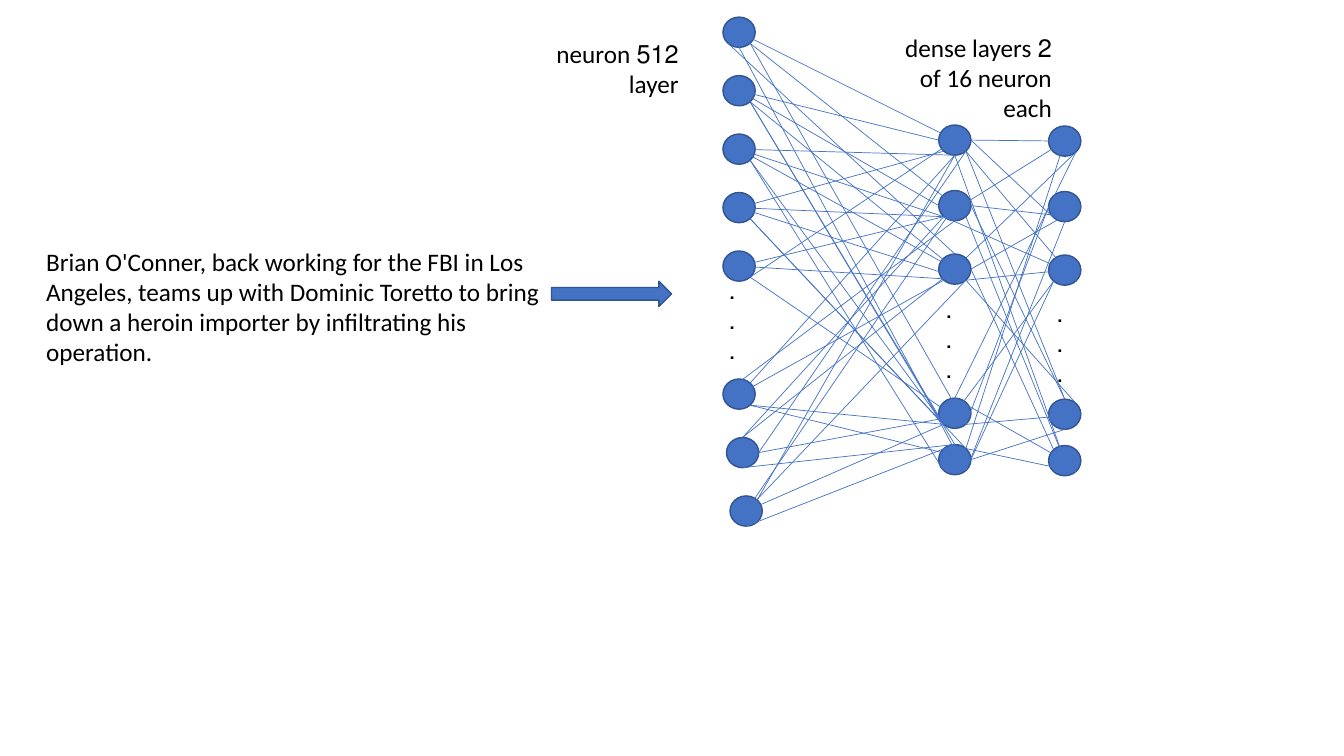
"""Neural network diagram: a text feeds a 512 neuron layer and two dense layers."""
from pptx import Presentation
from pptx.dml.color import RGBColor
from pptx.enum.shapes import MSO_CONNECTOR as CONN, MSO_SHAPE as SHAPE
from pptx.enum.text import MSO_AUTO_SIZE as AUTO, PP_ALIGN as ALIGN
from pptx.oxml.ns import qn
from pptx.util import Inches, Pt
from lxml.etree import SubElement

BLUE, EDGE, BLACK = "4472C4", "325491", "000000"
NODE_W, NODE_H = 0.32, 0.3

prs = Presentation()
prs.slide_width, prs.slide_height = Inches(13.33), Inches(7.5)
s = prs.slides.add_slide(prs.slide_layouts[6])


def add_text(text, box, size=18, font="Calibri", color=BLACK, rtl=False):
    tf = s.shapes.add_textbox(*map(Inches, box)).text_frame
    tf.word_wrap, tf.auto_size = True, AUTO.SHAPE_TO_FIT_TEXT
    for i, line in enumerate(text.split("\n")):
        p = tf.add_paragraph() if i else tf.paragraphs[0]
        if rtl:
            p.alignment = ALIGN.RIGHT
            p._p.get_or_add_pPr().set("rtl", "1")
        r = p.add_run()
        r.text = line
        r.font.size, r.font.name = Pt(size), font
        r.font.color.rgb = RGBColor.from_string(color)


def add_solid(kind, box):
    sp = s.shapes.add_shape(kind, *map(Inches, box))
    sp.shadow.inherit = False
    sp.fill.solid()
    sp.fill.fore_color.rgb = RGBColor.from_string(BLUE)
    sp.line.color.rgb = RGBColor.from_string(EDGE)
    sp.line.width = Pt(1)


add_text("Brian O'Conner, back working for the FBI in Los Angeles, teams up with "
         "Dominic Toretto to bring down a heroin importer by infiltrating his operation.",
         (0.36, 2.39, 5.24, 1.31))
add_solid(SHAPE.RIGHT_ARROW, (5.47, 2.79, 1.19, 0.25))

dense_rows = [1.39, 2.04, 2.67, 4.1, 4.56]
layers = [
    [(7.33, 0.32 + 0.58 * i) for i in range(5)]
    + [(7.33 + 0.035 * i, 3.91 + 0.58 * i) for i in range(3)],
    [(9.47, y) for y in dense_rows],
    [(10.56, y + 0.01) for y in dense_rows],
]
for x, y in (node for layer in layers for node in layer):
    add_solid(SHAPE.OVAL, (x - NODE_W / 2, y - NODE_H / 2, NODE_W, NODE_H))

for left, top in [(6.55, 2.67), (8.7, 2.86), (9.8, 2.9)]:
    add_text(".\n.\n.", (left, top, 0.84, 1.01), rtl=True)
add_text("512 neuron layer", (5.08, 0.33, 1.75, 0.71), rtl=True)
add_text("2 dense layers of 16 neuron each", (8.78, 0.27, 1.75, 1.01), rtl=True)

# Each pair holds the start and end sites on the ovals, laid out as on a keypad.
sites = {"7": (-0.11, -0.11), "8": (0, -0.15), "9": (0.11, -0.11),
         "4": (-0.16, 0), "5": (0, 0), "6": (0.16, 0),
         "1": (-0.11, 0.11), "2": (0, 0.15), "3": (0.11, 0.11)}
meshes = [
    ["55 54 52 51 35 92 63 92", "35 54 51 51 51 42 81 55", "18 35 55 53 53 51 85 53",
     "33 31 31 31 33 31 66 51", "23 38 31 39 -- 36 28 28"],
    ["65 15 93 83 95", "61 63 66 34 32", "33 15 35 51 61",
     "38 68 39 36 62", "25 35 67 85 93"],
]
for sources, targets, mesh in zip(layers, layers[1:], meshes):
    for target, row in zip(targets, mesh):
        for source, pair in zip(sources, row.split()):
            if pair == "--":
                continue
            ends = [Inches(c + d) for node, site in zip((source, target), pair)
                    for c, d in zip(node, sites[site])]
            link = s.shapes.add_connector(CONN.STRAIGHT, *ends)
            link.line.color.rgb = RGBColor.from_string(BLUE)
            link.line.width = Pt(0.5)
            SubElement(link._element.spPr, qn("a:effectLst"))

prs.save("out.pptx")
